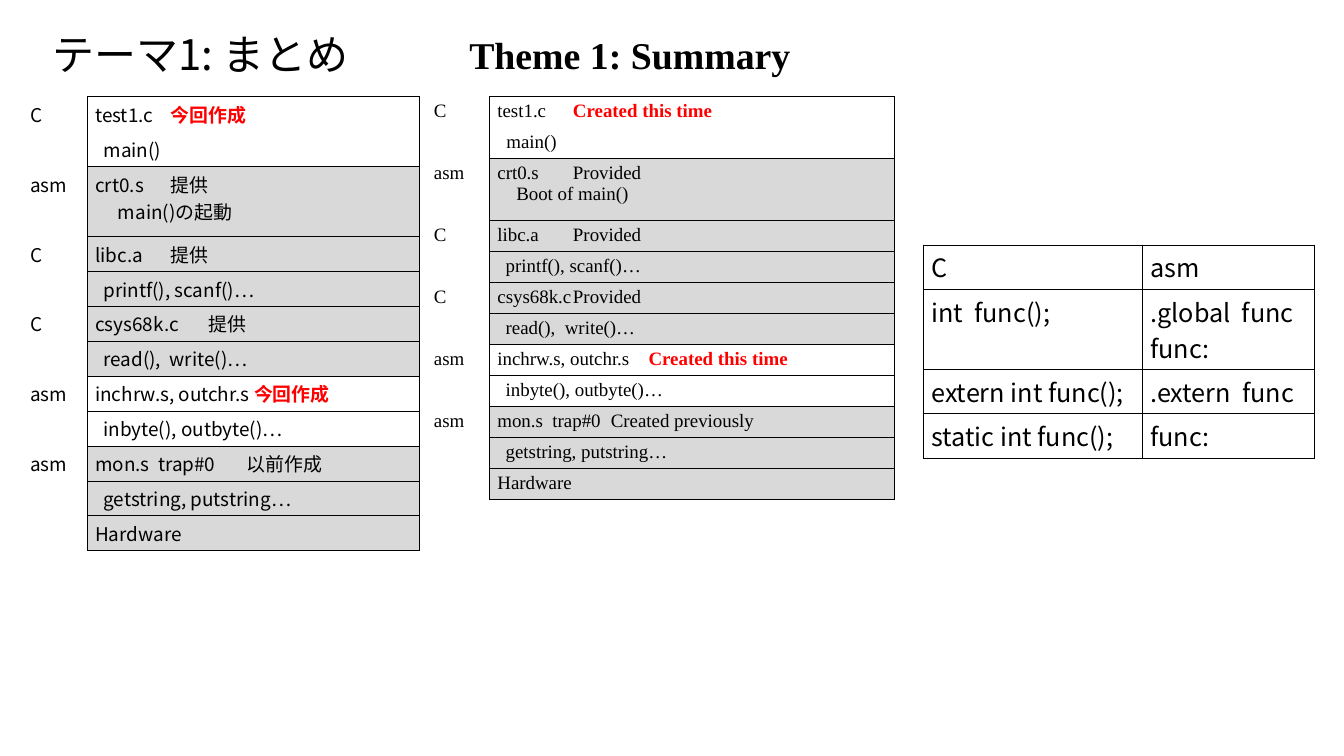
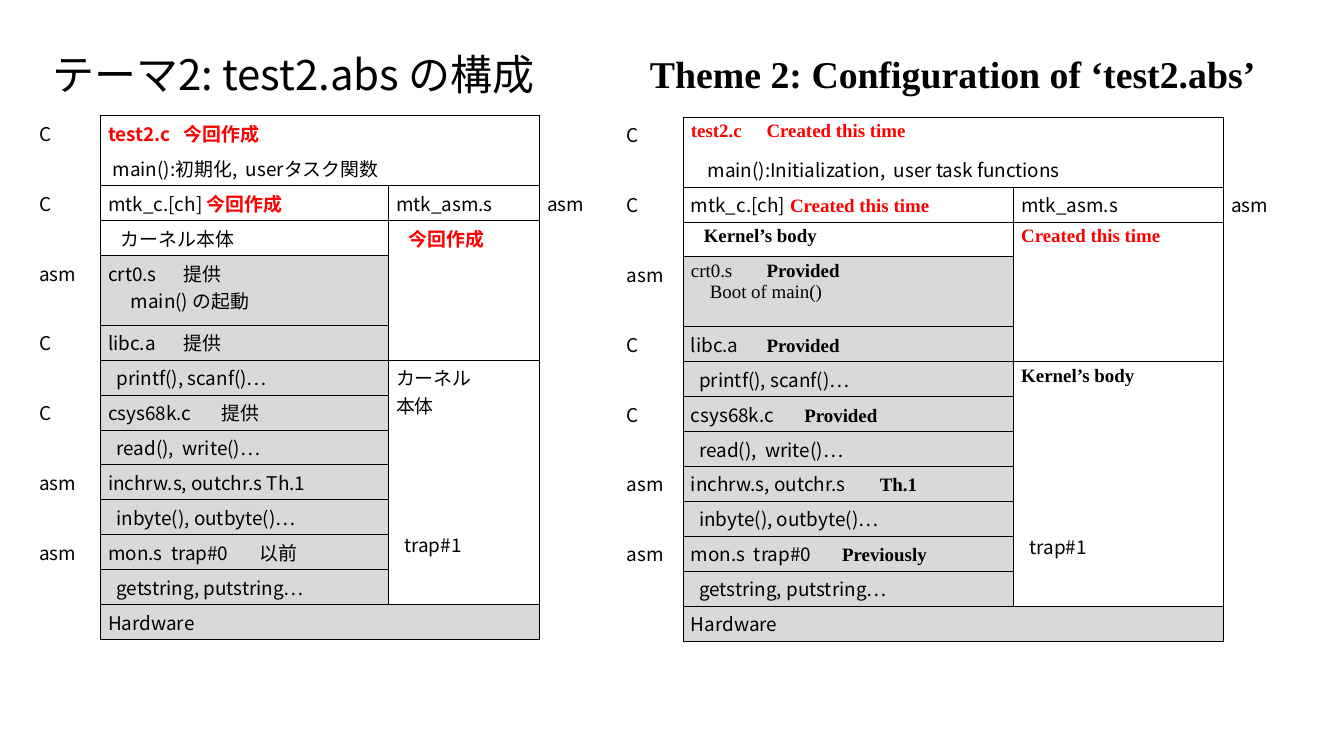
import pptx
import pptx.util
import pptx.dml.color
import pptx.enum.text
import pptx.oxml.ns
import lxml.etree

Inches = pptx.util.Inches
hue = pptx.dml.color.RGBColor.from_string
qn = pptx.oxml.ns.qn
NOTO, TIMES = "Noto Sans CJK JP", "Times New Roman"
BLACK, RED, GREY = "000000", "FF0000", "D9D9D9"
PLAIN = "{2D5ABB26-0587-4C30-8999-92F81FD0307C}"
STYLES = {
    "j": (NOTO, False, BLACK),
    "J": (NOTO, True, RED),
    "e": (TIMES, False, BLACK),
    "b": (TIMES, True, BLACK),
    "E": (TIMES, True, RED),
}


def write(frame, lines, size):
    for i, (indent, tab, *runs) in enumerate(lines):
        para = frame.paragraphs[0] if i == 0 else frame.add_paragraph()
        para.alignment = pptx.enum.text.PP_ALIGN.LEFT
        props = para._p.get_or_add_pPr()
        props.set("marL", str(Inches(indent)))
        props.set("indent", "0")
        if tab:
            stops = lxml.etree.SubElement(props, qn("a:tabLst"))
            lxml.etree.SubElement(stops, qn("a:tab"), pos=str(Inches(tab)), algn="l")
        for style, text in zip(runs[::2], runs[1::2]):
            face, bold, color = STYLES[style]
            run = para.add_run()
            run.text = text
            run.font.size = pptx.util.Pt(size)
            run.font.bold = bold
            run.font.color.rgb = hue(color)
            run.font.name = face
            lxml.etree.SubElement(run._r.get_or_add_rPr(), qn("a:ea"), typeface=face)


def place(grid, size, row, col, tall, wide, sides, fill, lines):
    end, last = row + tall - 1, col + wide - 1
    for r in range(row, end + 1):
        for c in range(col, last + 1):
            props = grid.cell(r, c)._tc.get_or_add_tcPr()
            for side, outer in (("L", c == col), ("R", c == last), ("T", r == row), ("B", r == end)):
                if outer and side in sides:
                    line = lxml.etree.SubElement(props, qn("a:ln" + side), w="12700")
                    paint = lxml.etree.SubElement(line, qn("a:solidFill"))
                    lxml.etree.SubElement(paint, qn("a:srgbClr"), val=BLACK)
            if fill:
                grid.cell(r, c).fill.solid()
                grid.cell(r, c).fill.fore_color.rgb = hue(fill)
    cell = grid.cell(row, col)
    if tall * wide > 1:
        cell.merge(grid.cell(end, last))
    write(cell.text_frame, lines, size)
    return cell


deck = pptx.Presentation()
deck.slide_width, deck.slide_height = Inches(17.78), Inches(10)

slides = []
for top, native, left, width, english in (
    (0.23, "テーマ1: まとめ", 6.11, 5.17, "Theme 1: Summary"),
    (0.49, "テーマ2: test2.abs の構成", 8.5, 8.69, "Theme 2: Configuration of ‘test2.abs’"),
):
    slide = deck.slides.add_slide(deck.slide_layouts[5])
    slides.append(slide)
    title = slide.shapes.title
    title.left, title.top, title.width, title.height = map(Inches, (0.59, top, 7.25, 1.05))
    second = slide.shapes.add_textbox(Inches(left), Inches(top), Inches(width), Inches(1.05))
    for box, style, text, size in ((title, "j", native, 40), (second, "b", english, 36)):
        frame = box.text_frame
        frame.word_wrap = True
        frame.auto_size = pptx.enum.text.MSO_AUTO_SIZE.NONE
        frame.vertical_anchor = pptx.enum.text.MSO_ANCHOR.MIDDLE
        write(frame, [(0, 0, style, text)], size)
        frame.paragraphs[0].line_spacing = 0.9

pairs = [
    ("C", "asm"),
    ("int  func();", ".global  func\nfunc:"),
    ("extern int func();", ".extern  func"),
    ("static int func();", "func:"),
]
heights = [0.52, 0.96, 0.52, 0.52]
shape = slides[0].shapes.add_table(4, 2, Inches(12.22), Inches(3.24), Inches(5.17), Inches(2.52))
shape._element.graphic.graphicData.tbl.tblPr.find(qn("a:tableStyleId")).text = PLAIN
grid = shape.table
grid.columns[0].width, grid.columns[1].width = Inches(2.9), Inches(2.27)
for r, pair in enumerate(pairs):
    grid.rows[r].height = Inches(heights[r])
    for c, text in enumerate(pair):
        lines = [(0, 0, "j", part) for part in text.split("\n")]
        place(grid, 24, r, c, 1, 1, "LRTB", None, lines)

parts = [
    ("libc.a", "printf(), scanf()…"),
    ("csys68k.c", "read(),  write()…"),
    ("inchrw.s, outchr.s", "inbyte(), outbyte()…"),
    ("mon.s  trap#0", "getstring, putstring…"),
]
short = ["C", "asm", "C", "C", "asm", "asm"]
stacks = [
    {
        "slide": 0, "at": (0.3, 1.28), "cols": [0.86, 4.39], "pitch": 0.46,
        "base": "j", "tags": short, "white": 2,
        "notes": [(2.05, "j", "提供"), (2.14, "j", "提供"), (0, "J", "今回作成"), (2.05, "j", "以前作成")],
        "head": [
            (0, 1, 1, 1, "LRT", None, [(0, 1.75, "j", "test1.c\t", "J", "今回作成")]),
            (1, 1, 1, 1, "LRB", None, [(0.11, 0, "j", "main()")]),
            (2, 1, 2, 1, "LRTB", GREY, [(0, 2.05, "j", "crt0.s\t提供"), (0.3, 0, "j", "main()の起動")]),
        ],
    },
    {
        "slide": 0, "at": (5.64, 1.28), "cols": [0.84, 5.35], "pitch": 0.41,
        "base": "e", "tags": short, "white": 2,
        "notes": [(2.91, "e", "Provided"), (2.91, "e", "Provided"), (1.99, "E", "Created this time"),
                  (1.92, "e", "Created previously")],
        "head": [
            (0, 1, 1, 1, "LRT", None, [(0, 2.01, "e", "test1.c\t", "E", "Created this time")]),
            (1, 1, 1, 1, "LRB", None, [(0.12, 0, "e", "main()")]),
            (2, 1, 2, 1, "LRTB", GREY, [(0, 2.91, "e", "crt0.s\tProvided"), (0.25, 0, "e", "Boot of main()")]),
        ],
    },
    {
        "slide": 1, "at": (0.42, 1.53), "cols": [0.91, 3.81, 2, 0.85], "pitch": 0.46,
        "base": "j", "tags": ["C"] + short, "white": None,
        "notes": [(1.6, "j", "提供"), (1.68, "j", "提供"), (0, "j", "Th.1"), (2.05, "j", "以前")],
        "head": [
            (0, 1, 1, 2, "LRT", None, [(0, 2.31, "J", "test2.c\t今回作成")]),
            (1, 1, 1, 2, "LRB", None, [(0.06, 0, "j", "main():初期化,  userタスク関数")]),
            (2, 1, 1, 1, "LRTB", None, [(0, 0, "j", "mtk_c.[ch] ", "J", "今回作成")]),
            (3, 1, 1, 1, "LRTB", None, [(0.17, 0, "j", "カーネル本体")]),
            (3, 2, 4, 1, "LRT", None, [(0.17, 0, "J", "今回作成")]),
            (4, 1, 2, 1, "LRTB", GREY, [(0, 1.61, "j", "crt0.s\t提供"), (0.3, 0, "j", "main() の起動")]),
            (7, 2, 2, 1, "LR", None, [(0, 0, "j", "カーネル"), (0, 0, "j", "本体")]),
        ],
    },
    {
        "slide": 1, "at": (8.19, 1.55), "cols": [0.85, 4.37, 2.78, 1], "pitch": 0.46,
        "base": "j", "tags": ["C"] + short, "white": None,
        "notes": [(1.7, "b", "Provided"), (1.77, "b", "Provided"), (2.38, "b", "Th.1"), (1.81, "b", "Previously")],
        "head": [
            (0, 1, 1, 2, "LRT", None, [(0, 3.11, "E", "test2.c\tCreated this time")]),
            (1, 1, 1, 2, "LRB", None, [(0.22, 0, "j", "main():Initialization,  user task functions")]),
            (2, 1, 1, 1, "LRTB", None, [(0, 0, "j", "mtk_c.[ch]", "E", " Created this time")]),
            (3, 1, 1, 1, "LRTB", None, [(0.17, 0, "b", "Kernel’s body")]),
            (3, 2, 4, 1, "LRT", None, [(0, 0, "E", "Created this time")]),
            (4, 1, 2, 1, "LRTB", GREY, [(0, 1.87, "e", "crt0.s\t", "b", "Provided"), (0.25, 0, "e", "Boot of main()")]),
            (7, 2, 2, 1, "LR", None, [(0, 0, "b", "Kernel’s body")]),
        ],
    },
]

for stack in stacks:
    cols, base, tags = stack["cols"], stack["base"], stack["tags"]
    count, pitch = 2 * len(tags) + 1, stack["pitch"]
    left, top = map(Inches, stack["at"])
    shape = slides[stack["slide"]].shapes.add_table(
        count, len(cols), left, top, Inches(sum(cols)), Inches(count * pitch))
    shape._element.graphic.graphicData.tbl.tblPr.find(qn("a:tableStyleId")).text = PLAIN
    grid = shape.table
    for c, width in enumerate(cols):
        grid.columns[c].width = Inches(width)
    for row in grid.rows:
        row.height = Inches(pitch)
    for i, tag in enumerate(tags):
        place(grid, 18, 2 * i, 0, 1, 1, "", None, [(0, 0, base, tag)])
    for entry in stack["head"]:
        place(grid, 18, *entry)
    first = count - 9
    for i, ((name, calls), (tab, style, note)) in enumerate(zip(parts, stack["notes"])):
        fill = None if i == stack["white"] else GREY
        gap = "\t" if tab else " "
        row = first + 2 * i
        place(grid, 18, row, 1, 1, 1, "LRTB", fill, [(0, tab, base, name + gap, style, note)])
        place(grid, 18, row + 1, 1, 1, 1, "LRTB", fill, [(0.11, 0, base, calls)])
    wide = 1
    if len(cols) == 4:
        wide = 2
        place(grid, 18, 2, 2, 1, 1, "LRTB", None, [(0, 0, "j", "mtk_asm.s")])
        place(grid, 18, 2, 3, 1, 1, "L", None, [(0, 0, "j", "asm")])
        place(grid, 18, 9, 2, 2, 1, "LR", None, [])
        trap = place(grid, 18, 11, 2, 2, 1, "LR", None, [(0.11, 0, "j", "trap#1")])
        trap.margin_top = Inches(0.41)
        place(grid, 18, 13, 2, 1, 1, "LRB", None, [])
    place(grid, 18, count - 1, 1, 1, wide, "LRTB", GREY, [(0, 0, base, "Hardware")])

deck.save("out.pptx")
